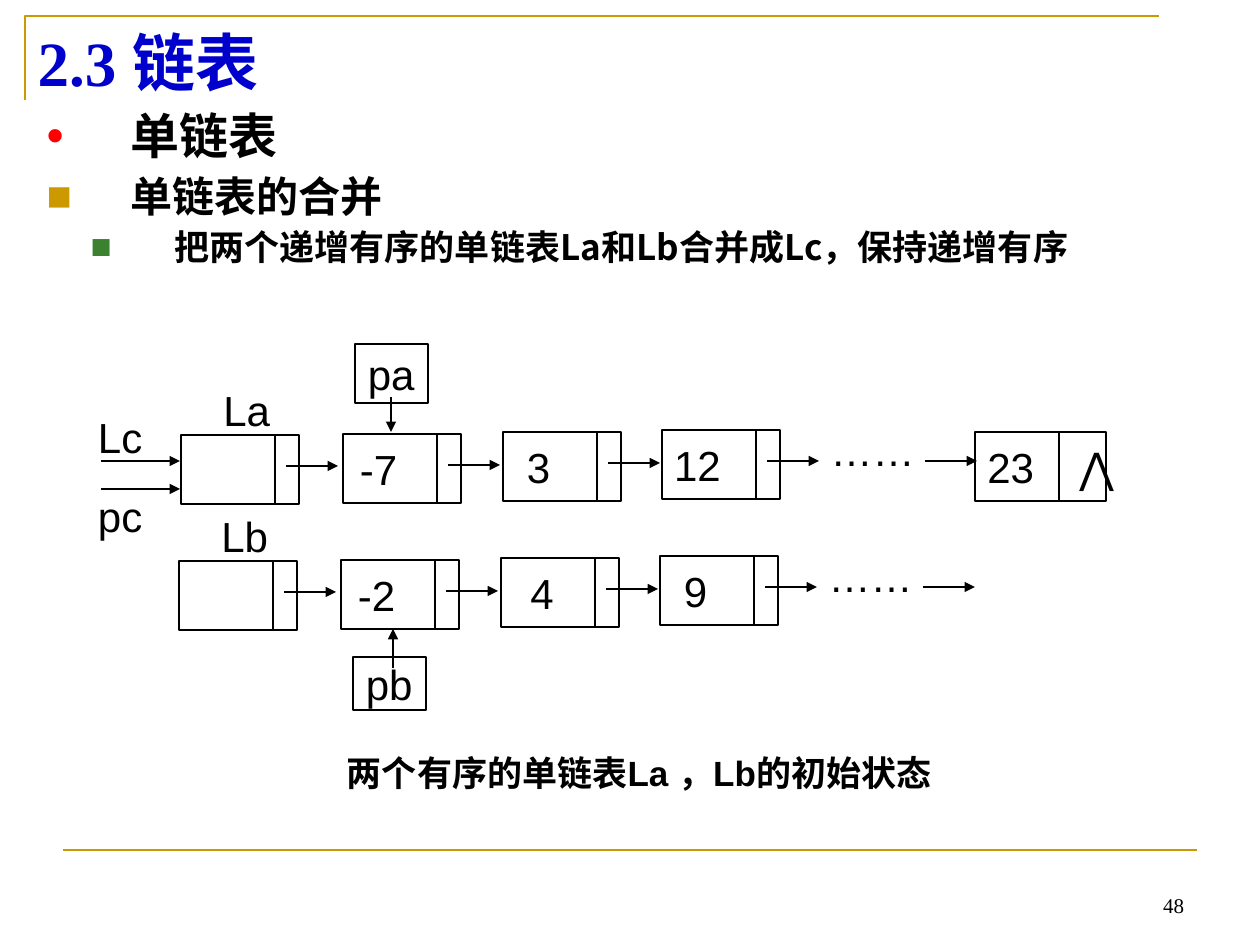
from dataclasses import dataclass

from lxml import etree
from pptx import Presentation
from pptx import util as u
from pptx.dml.color import RGBColor
from pptx.enum import shapes, text
from pptx.oxml.ns import qn


@dataclass(frozen=True)
class Theme:
    black: str = "000000"
    blue: str = "0000CC"
    gold: str = "CC9900"
    red: str = "FF0000"
    green: str = "3B812F"
    latin: str = "Arial"
    serif: str = "Times New Roman"
    chinese: str = "Noto Sans CJK SC"
    title: int = 36
    topic: int = 28
    subtopic: int = 24
    detail: int = 20
    label: int = 24
    number: int = 12


theme = Theme()
PX = u.Inches(1) / 126
MARGIN = 13


def add_label(box, words, size=theme.label, name=theme.latin,
              align=text.PP_ALIGN.CENTER, anchor=text.MSO_ANCHOR.MIDDLE, right=MARGIN):
    """Write one line in a box and return its paragraph; right is the right inset in px."""
    frame = box.text_frame
    frame.word_wrap = False
    frame.vertical_anchor = anchor
    frame.margin_right = u.Emu(int(right * PX))
    paragraph = frame.paragraphs[0]
    paragraph.text = words
    paragraph.alignment = align
    paragraph.font.size = u.Pt(size)
    paragraph.font.name = name
    paragraph.font.color.rgb = RGBColor.from_string(theme.black)
    return paragraph


def add_line(x1, y1, x2, y2, arrow=False, color=theme.black, width=1):
    ends = [u.Emu(int(value * PX)) for value in (x1, y1, x2, y2)]
    line = slide.shapes.add_connector(shapes.MSO_CONNECTOR.STRAIGHT, *ends)
    line.line.color.rgb = RGBColor.from_string(color)
    line.line.width = u.Pt(width)
    if arrow:
        etree.SubElement(line.line._get_or_add_ln(), qn("a:tailEnd"), type="triangle")
    etree.SubElement(line._element.spPr, qn("a:effectLst"))


presentation = Presentation()
presentation.slide_width = u.Inches(10)
presentation.slide_height = u.Inches(7.5)
slide = presentation.slides.add_slide(presentation.slide_layouts[1])

# Frame lines
builder = slide.shapes.build_freeform(25, 100, scale=PX)
builder.add_line_segments([(25, 16), (1159, 16)], close=False)
corner = builder.convert_to_shape()
corner.shadow.inherit = False
corner.fill.background()
corner.line.color.rgb = RGBColor.from_string(theme.gold)
corner.line.width = u.Pt(1.5)
add_line(63, 850, 1197, 850, color=theme.gold, width=1.5)

# Title and list
title, body = slide.shapes.title, slide.placeholders[1]
for placeholder, area in ((title, (25, 16, 1134, 90)), (body, (34, 106, 1170, 744))):
    (placeholder.left, placeholder.top,
     placeholder.width, placeholder.height) = [u.Emu(int(value * PX)) for value in area]
    placeholder.text_frame.auto_size = text.MSO_AUTO_SIZE.NONE
    placeholder.text_frame.word_wrap = True

heading = add_label(title, "2.3 链表", theme.title, theme.serif, text.PP_ALIGN.LEFT)
heading.font.bold = True
heading.font.color.rgb = RGBColor.from_string(theme.blue)

points = [
    ("单链表", 0, theme.topic, 0, 84, "•", theme.red),
    ("单链表的合并", 0, theme.subtopic, 6, 84, "■", theme.gold),
    ("把两个递增有序的单链表La和Lb合并成Lc，保持递增有序", 1, theme.detail, 5, 128, "■", theme.green),
]
for index, (words, level, size, before, indent, bullet, color) in enumerate(points):
    frame = body.text_frame
    paragraph = frame.paragraphs[0] if index == 0 else frame.add_paragraph()
    paragraph.text = words
    paragraph.level = level
    paragraph.line_spacing = 0.9
    paragraph.space_before = u.Pt(before)
    properties = paragraph._p.get_or_add_pPr()
    properties.set("marL", str(int(indent * PX)))
    properties.set("indent", str(int(-84 * PX)))
    bullet_color = etree.SubElement(properties, qn("a:buClr"))
    etree.SubElement(bullet_color, qn("a:srgbClr"), val=color)
    etree.SubElement(properties, qn("a:buFont"), typeface=theme.latin)
    etree.SubElement(properties, qn("a:buChar"), char=bullet)
    paragraph.font.size = u.Pt(size)
    paragraph.font.bold = True
    paragraph.font.name = theme.chinese
    paragraph.font.color.rgb = RGBColor.from_string(theme.black)
    etree.SubElement(properties.find(qn("a:defRPr")), qn("a:ea"), typeface=theme.chinese)

# Boxes: words, area, outlined, right inset
NODE_W, NODE_H, DIVIDER = 118, 69, 94
CELL_INSET = 47
node_x = (181, 343, 503, 662)
node_y = (435, 434, 432, 430)
lists = [
    ("La", 0, 0, (("", MARGIN), ("-7", CELL_INSET), ("3", CELL_INSET), ("12", CELL_INSET))),
    ("Lb", -2, 126, (("", MARGIN), ("-2", CELL_INSET), ("4", 36), ("9", CELL_INSET))),
]
boxes = [
    ("pa", (355, 344, 73, 59), True, MARGIN),
    ("pb", (353, 657, 73, 53), True, MARGIN),
    ("Lc", (84, 410, 73, 53), False, MARGIN),
    ("pc", (84, 489, 73, 53), False, MARGIN),
]
dividers = [(1059, 432)]
arrows = [
    (391, 397, 391, 432),
    (393, 668, 393, 629),
    (101, 461, 180, 461),
    (101, 489, 180, 489),
]
for name, dx, dy, values in lists:
    boxes.append((name, (189 + dx, 378 + dy, 116, 63), False, MARGIN))
    boxes.append(("……", (814 + dx, 415 + dy, NODE_W, NODE_H), False, MARGIN))
    arrows.append((925 + dx, 461 + dy, 977 + dx, 461 + dy))
    for x, y, (value, inset) in zip(node_x, node_y, values):
        x, y = x + dx, y + dy
        boxes.append((value, (x, y, NODE_W, NODE_H), True, inset))
        dividers.append((x + DIVIDER, y))
        arrows.append((x + 105, y + 31, x + 157, y + 31))

for words, area, outlined, inset in boxes:
    area = [u.Emu(int(value * PX)) for value in area]
    if outlined:
        box = slide.shapes.add_shape(shapes.MSO_SHAPE.RECTANGLE, *area)
        box.shadow.inherit = False
        box.fill.background()
        box.line.color.rgb = RGBColor.from_string(theme.black)
        box.line.width = u.Pt(1)
    else:
        box = slide.shapes.add_textbox(*area)
    if words:
        if inset != MARGIN:
            box.text_frame.margin_left = 0
        add_label(box, words, right=inset)

# Last node, with the end mark on a tab stop
last_area = [u.Emu(int(value * PX)) for value in (975, 432, 131, NODE_H)]
last_node = slide.shapes.add_shape(shapes.MSO_SHAPE.RECTANGLE, *last_area)
last_node.shadow.inherit = False
last_node.fill.background()
last_node.line.color.rgb = RGBColor.from_string(theme.black)
last_node.line.width = u.Pt(1)
last_paragraph = last_node.text_frame.paragraphs[0]
tabs = etree.SubElement(last_paragraph._p.get_or_add_pPr(), qn("a:tabLst"))
etree.SubElement(tabs, qn("a:tab"), pos=str(int(92 * PX)), algn="l")
add_label(last_node, "23\t⋀", align=text.PP_ALIGN.LEFT)

for x, y in dividers:
    add_line(x, y, x, y + NODE_H)
for ends in arrows:
    add_line(*ends, arrow=True)

# Caption and slide number
caption = slide.shapes.add_textbox(*[u.Emu(int(value * PX)) for value in (252, 741, 775, 62)])
caption_paragraph = add_label(caption, "", theme.detail, theme.chinese)
caption_paragraph.font.bold = True
for words, name in (("两个有序的单链表", theme.chinese), ("La ", theme.latin), ("，", theme.chinese),
                    ("Lb", theme.latin), ("的初始状态", theme.chinese)):
    run = caption_paragraph.add_run()
    run.text = words
    run.font.name = name

number = slide.shapes.add_textbox(*[u.Emu(int(value * PX)) for value in (903, 861, 294, 63)])
add_label(number, "48", theme.number, theme.serif, text.PP_ALIGN.RIGHT, text.MSO_ANCHOR.BOTTOM)
number.text_frame.word_wrap = True

presentation.save("out.pptx")
